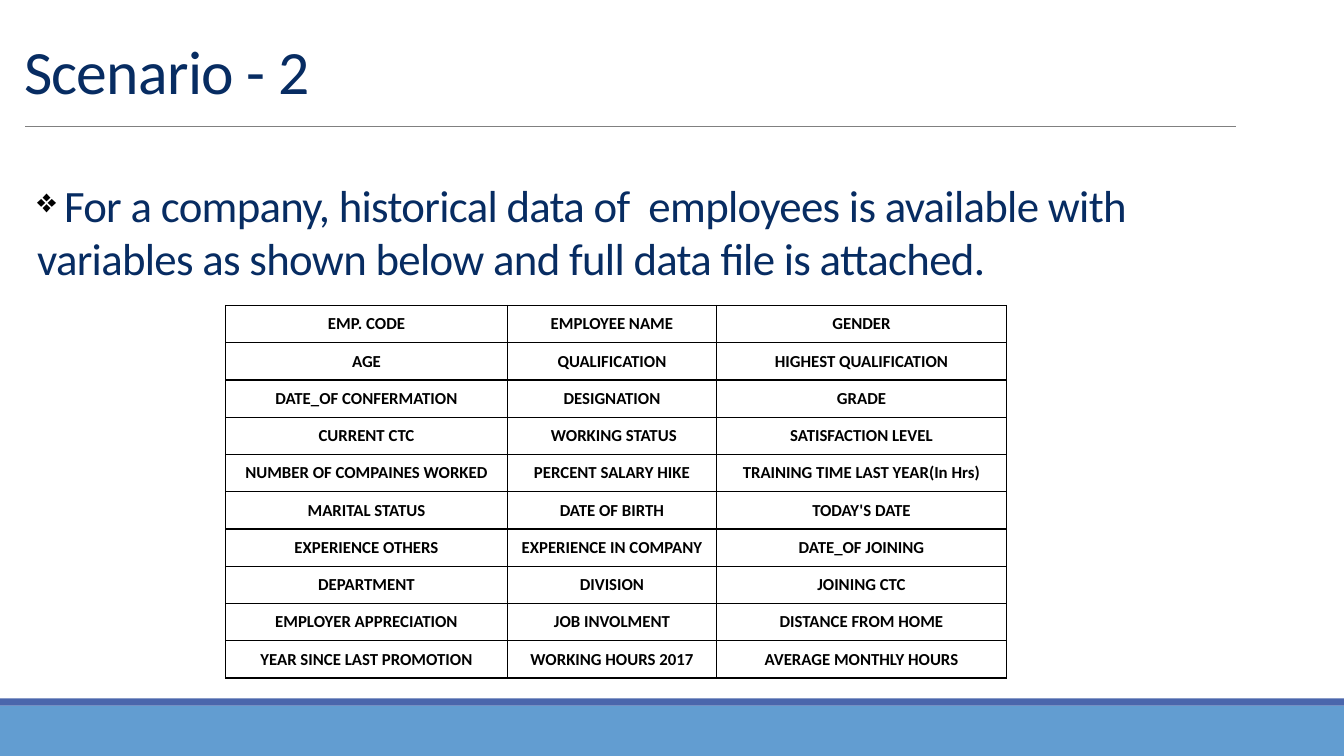
from lxml import etree
from pptx import Presentation
from pptx import util as u
from pptx.dml.color import RGBColor
from pptx.enum import shapes, text
from pptx.oxml import ns

NAVY = RGBColor(0x07, 0x2C, 0x62)
BLACK = RGBColor(0, 0, 0)
GRAY = RGBColor(0x80, 0x80, 0x80)
SKY = RGBColor(0x62, 0x9D, 0xD1)
INDIGO = RGBColor(0x4A, 0x66, 0xAC)

VARIABLES = [
    ("EMP. CODE", "EMPLOYEE NAME", "GENDER"),
    ("AGE", "QUALIFICATION", "HIGHEST QUALIFICATION"),
    ("DATE_OF CONFERMATION", "DESIGNATION", "GRADE"),
    ("CURRENT CTC", " WORKING STATUS", "SATISFACTION LEVEL"),
    ("NUMBER OF COMPAINES WORKED", "PERCENT SALARY HIKE",
     "TRAINING TIME LAST YEAR(In Hrs)"),
    ("MARITAL STATUS", "DATE OF BIRTH", "TODAY'S DATE"),
    ("EXPERIENCE OTHERS", "EXPERIENCE IN COMPANY", "DATE_OF JOINING"),
    ("DEPARTMENT", "DIVISION", "JOINING CTC"),
    ("EMPLOYER APPRECIATION", "JOB INVOLMENT", "DISTANCE FROM HOME"),
    ("YEAR SINCE LAST PROMOTION", "WORKING HOURS 2017", "AVERAGE MONTHLY HOURS"),
]


class SlideBuilder:
    font = "Calibri"

    def __init__(self, slide):
        self.s = slide

    def run(self, p, words, size, color, bold=False, spacing=0):
        r = p.add_run()
        r.text = words
        r.font.name = self.font
        r.font.size = u.Pt(size)
        r.font.bold = bold
        r.font.color.rgb = color
        if spacing:
            r.font._element.set("spc", str(round(spacing * 100)))

    def band(self, top, height, color):
        sp = self.s.shapes.add_shape(
            shapes.MSO_SHAPE.RECTANGLE, 0, u.Inches(top),
            u.Inches(13.33), u.Inches(height))
        sp.shadow.inherit = False
        sp.fill.solid()
        sp.fill.fore_color.rgb = color
        sp.line.fill.background()

    def rule(self, left, right, y):
        line = self.s.shapes.add_connector(
            shapes.MSO_CONNECTOR.STRAIGHT, u.Inches(left), u.Inches(y),
            u.Inches(right), u.Inches(y))
        line.line.color.rgb = GRAY
        line.line.width = u.Pt(0.5)
        etree.SubElement(line._element.spPr, ns.qn("a:effectLst"))

    def textbox(self, left, top, width, height, anchor):
        sp = self.s.shapes.add_textbox(*map(u.Inches, (left, top, width, height)))
        tf = sp.text_frame
        tf.word_wrap = True
        tf.vertical_anchor = anchor
        return tf.paragraphs[0]

    def bullet(self, p, char):
        pPr = p._p.get_or_add_pPr()
        pPr.set("marL", "0")
        pPr.set("indent", "0")
        etree.SubElement(pPr, ns.qn("a:buChar")).set("char", char)

    def border(self, cell):
        tcPr = cell._tc.get_or_add_tcPr()
        for i, side in enumerate(("lnL", "lnR", "lnT", "lnB")):
            ln = etree.Element(ns.qn(f"a:{side}"), w=str(u.Pt(1)))
            fill = etree.SubElement(ln, ns.qn("a:solidFill"))
            etree.SubElement(fill, ns.qn("a:srgbClr")).set("val", str(BLACK))
            tcPr.insert(i, ln)

    def table(self, left, top, widths, row_height, rows):
        frame = self.s.shapes.add_table(
            len(rows), len(widths), u.Inches(left), u.Inches(top),
            u.Inches(sum(widths)), u.Inches(row_height * len(rows)))
        tbl = frame.table
        tbl.first_row = tbl.horz_banding = False
        for col, width in zip(tbl.columns, widths):
            col.width = u.Inches(width)
        for row, labels in zip(tbl.rows, rows):
            row.height = u.Inches(row_height)
            for cell, label in zip(row.cells, labels):
                cell.fill.background()
                cell.margin_left = cell.margin_right = 0
                cell.margin_top = cell.margin_bottom = 0
                cell.vertical_anchor = text.MSO_ANCHOR.MIDDLE
                p = cell.text_frame.paragraphs[0]
                p.alignment = text.PP_ALIGN.CENTER
                self.run(p, label, 12, BLACK, bold=True)
                self.border(cell)


def main():
    prs = Presentation()
    prs.slide_width = u.Inches(13.33)
    prs.slide_height = u.Inches(7.5)
    b = SlideBuilder(prs.slides.add_slide(prs.slide_layouts[6]))

    # Footer bands and title rule
    b.band(7, 0.5, SKY)
    b.band(6.93, 0.07, INDIGO)
    b.rule(0.25, 12.26, 1.25)

    # Title
    p = b.textbox(0.14, 0.17, 12.03, 0.94, text.MSO_ANCHOR.BOTTOM)
    p.line_spacing = 0.85
    b.run(p, "Scenario - 2", 44, NAVY, spacing=-0.5)

    # Scenario statement
    p = b.textbox(0.27, 1.71, 11.91, 1.58, text.MSO_ANCHOR.TOP)
    b.bullet(p, "❖")
    b.run(p, " ", 24, BLACK)
    b.run(p, "For a company, historical data of  employees is available with "
             "variables as shown below and full data file is attached.",
          32, NAVY, spacing=-0.5)

    # Employee variables
    b.table(2.24, 3.03, (2.79, 2.08, 2.87), 0.37, VARIABLES)

    prs.save("out.pptx")


if __name__ == "__main__":
    main()
